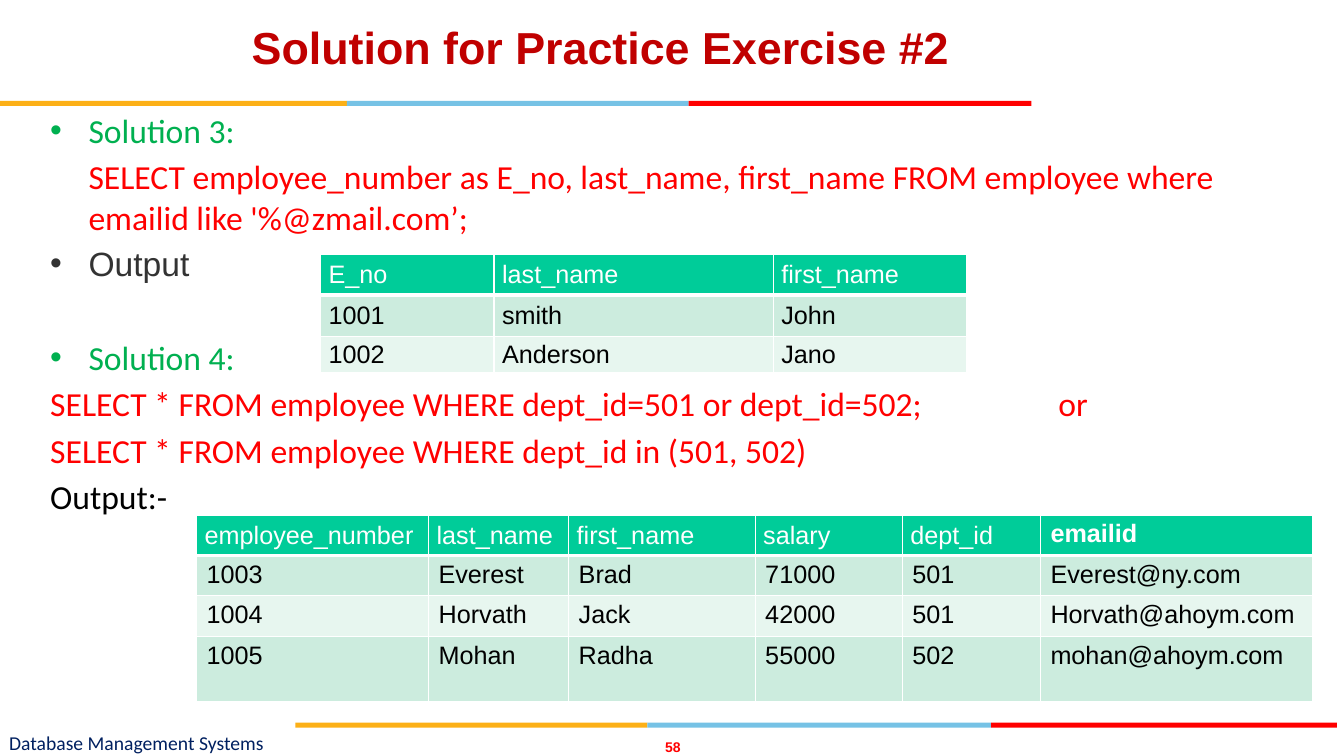
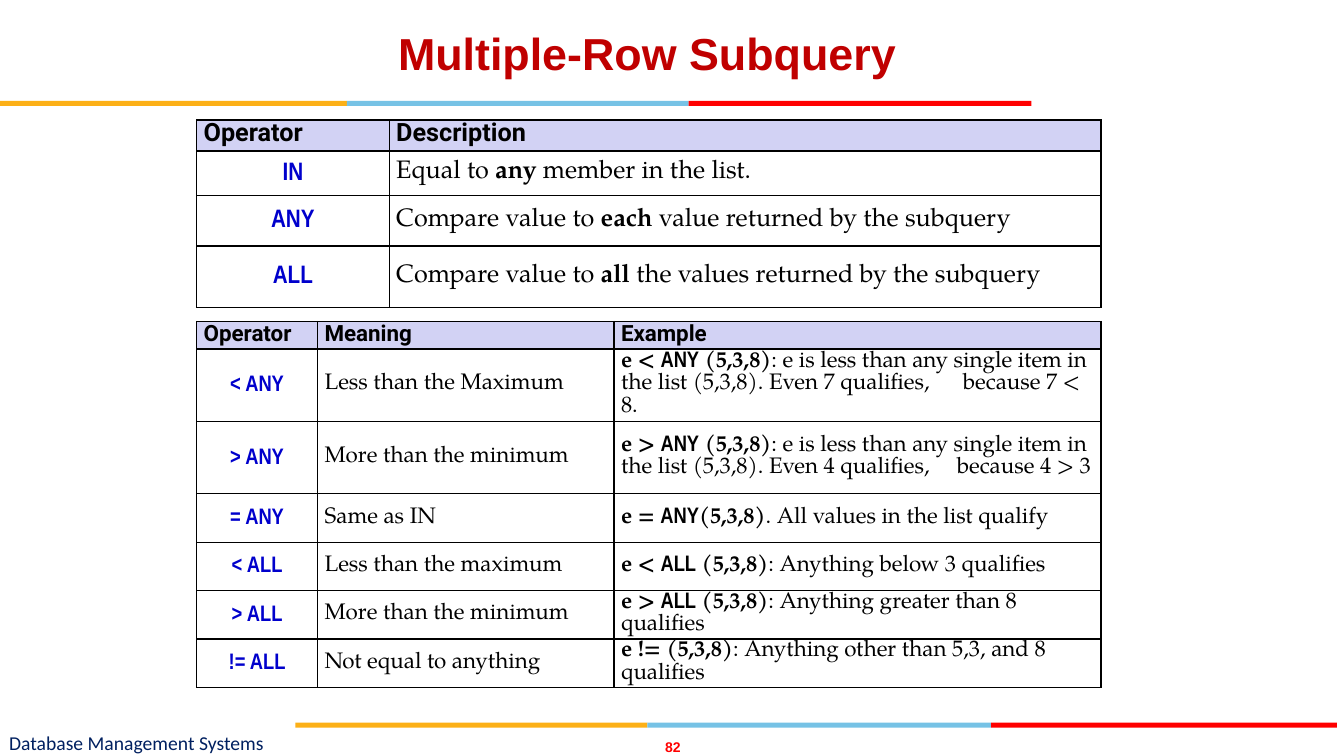
import pptx
import pptx.util
import pptx.dml.color
import pptx.enum.shapes
import pptx.enum.text
import pptx.oxml
from lxml import etree

Inches, Pt = pptx.util.Inches, pptx.util.Pt
RGB = pptx.dml.color.RGBColor.from_string
ALIGN = pptx.enum.text.PP_ALIGN
ANCHOR = pptx.enum.text.MSO_ANCHOR
NS = 'xmlns:a="http://schemas.openxmlformats.org/drawingml/2006/main"'

C = {
    "gold": "FCB017", "sky": "76C2E5", "red": "FF0000", "title": "C00000",
    "navy": "002060", "green": "00B050", "gray": "333333", "black": "000000",
    "white": "FFFFFF", "teal": "00CC99", "mint": "CCECDE", "pale": "E7F6EF",
    "lilac": "D2D2F4", "blue": "0000CC",
}

STYLES = {
    "title": ("Arial", 32, "title", True),
    "number": ("Arial", 10, "red", True),
    "footer": ("Calibri", 14, "navy", False),
    "heading": ("Calibri", 24, "green", False),
    "query": ("Calibri", 24, "red", False),
    "output": ("Arial", 24, "gray", False),
    "result": ("Calibri", 24, "black", False),
    "data head": ("Arial", 18, "white", False),
    "data head bold": ("Arial", 18, "white", True),
    "data": ("Arial", 18, "black", False),
    "head": ("Roboto", 18, "black", True),
    "operator": ("Arial Narrow", 18, "blue", True),
    "keyword": ("Arial Narrow", 18, "black", True),
    "bold": ("TeX Gyre Pagella", 18, "black", True),
    "plain": ("TeX Gyre Pagella", 18, "black", False),
}


def write(p, runs, size=None, tab=None, bullet=None, **fmt):
    for name, value in fmt.items():
        setattr(p, name, value)
    pPr = p._p.get_or_add_pPr()
    if bullet:
        for name, value in bullet.items():
            pPr.set(name, str(int(Inches(value))))
        if bullet["indent"]:
            pPr.append(pptx.oxml.parse_xml(f'<a:buFont {NS} typeface="Arial"/>'))
            pPr.append(pptx.oxml.parse_xml(f'<a:buChar {NS} char="•"/>'))
    if tab:
        pPr.append(pptx.oxml.parse_xml(
            f'<a:tabLst {NS}><a:tab pos="{int(Inches(tab))}" algn="l"/></a:tabLst>'))
    for text, style in runs:
        font, points, color, bold = STYLES[style]
        r = p.add_run()
        r.text = text
        for name, value in {"name": font, "size": Pt(size or points), "bold": bold}.items():
            setattr(r.font, name, value)
        r.font.color.rgb = RGB(C[color])


def add_grid(s, left, top, widths, heights, rows, fills, line, head_line, margins, paragraph):
    shape = s.shapes.add_table(len(rows), len(widths), Inches(left), Inches(top),
                               Inches(sum(widths)), Inches(sum(heights)))
    table = shape.table
    table.horz_banding = False
    for col, width in zip(table.columns, widths):
        col.width = Inches(width)
    for i, (row, height) in enumerate(zip(rows, heights)):
        table.rows[i].height = Inches(height)
        for j, runs in enumerate(row):
            cell = table.cell(i, j)
            x, y, anchor = margins(i, j)
            for name, value in {"margin_left": Inches(x), "margin_right": Inches(x),
                                "margin_top": Inches(y), "margin_bottom": Inches(y),
                                "vertical_anchor": anchor}.items():
                setattr(cell, name, value)
            write(cell.text_frame.paragraphs[0], runs, **paragraph(i, j))
            tcPr = cell._tc.get_or_add_tcPr()
            for side in "LRTB":
                heavy = (i, side) in ((0, "B"), (1, "T"))
                width = int(Pt(head_line if heavy else 1))
                tcPr.append(pptx.oxml.parse_xml(
                    f'<a:ln{side} {NS} w="{width}"><a:solidFill><a:srgbClr val="{C[line]}"/>'
                    f'</a:solidFill></a:ln{side}>'))
            fill = fills[0] if i == 0 else fills[1 + (i - 1) % 2]
            if fill:
                cell.fill.solid()
                cell.fill.fore_color.rgb = RGB(C[fill])
            else:
                cell.fill.background()


prs = pptx.Presentation()
prs.slide_width, prs.slide_height = Inches(13.33), Inches(7.5)

BANDS = [(0, 1, (3.44, 3.39, 3.4)), (2.93, 7.17, (3.49, 3.41, 3.43))]
TITLES = [("Solution for Practice Exercise #2", "58", (0.21, 0.15, 11.5, 0.73)),
          ("Multiple-Row Subquery", "82", (0.67, 0.21, 11.5, 0.73))]

slides = []
for title, number, title_box in TITLES:
    s = prs.slides.add_slide(prs.slide_layouts[6])
    slides.append(s)
    for left, top, widths in BANDS:
        for color, width in zip(("gold", "sky", "red"), widths):
            bar = s.shapes.add_shape(pptx.enum.shapes.MSO_SHAPE.RECTANGLE, Inches(left),
                                     Inches(top), Inches(width), Inches(0.05))
            bar.shadow.inherit = False
            bar.fill.solid()
            bar.fill.fore_color.rgb = RGB(C[color])
            bar.line.fill.background()
            left += width
    for text, style, box, align in (
        (number, "number", (6.51, 7.33, 0.33, 0.17), ALIGN.CENTER),
        ("Database Management Systems", "footer", (0.09, 7.23, 4.96, 0.27), ALIGN.LEFT),
        (title, "title", title_box, ALIGN.CENTER),
    ):
        tf = s.shapes.add_textbox(*map(Inches, box)).text_frame
        tf.word_wrap = True
        if style != "title":
            tf.vertical_anchor = ANCHOR.MIDDLE
            tf.margin_left = tf.margin_right = tf.margin_top = tf.margin_bottom = 0
        write(tf.paragraphs[0], [(text, style)], alignment=align)

solutions, subquery = slides

BULLET = {"marL": 0.38, "indent": -0.38}
INDENT = {"marL": 0.38, "indent": 0}
BODY = [
    ("Solution 3:", "heading", BULLET, 4.3),
    ("SELECT employee_number as E_no, last_name, first_name FROM employee where "
     "emailid like '%@zmail.com’;", "query", INDENT, 4.3),
    ("Output", "output", BULLET, 4.3),
    ("Solution 4:", "heading", BULLET, 38.5),
    ("SELECT * FROM employee WHERE dept_id=501 or dept_id=502;\tor", "query", None, 4.3),
    ("SELECT * FROM employee WHERE dept_id in (501, 502)", "query", None, 4.3),
    ("Output:-", "result", None, 4.3),
]
tf = solutions.shapes.add_textbox(Inches(0.4), Inches(1.04), Inches(12.26), Inches(5.66)).text_frame
tf.word_wrap = True
for i, (text, style, bullet, before) in enumerate(BODY):
    p = tf.add_paragraph() if i else tf.paragraphs[0]
    write(p, [(text, style)], bullet=bullet, tab=10 if "\t" in text else None,
          space_before=Pt(before))

EMPLOYEES = [
    ("employee_number", "last_name", "first_name", "salary", "dept_id", "emailid"),
    ("1003", "Everest", "Brad", "71000", "501", "Everest@ny.com"),
    ("1004", "Horvath", "Jack", "42000", "501", "Horvath@ahoym.com"),
    ("1005", "Mohan", "Radha", "55000", "502", "mohan@ahoym.com"),
]
NAMES = [("E_no", "last_name", "first_name"), ("1001", "smith", "John"),
         ("1002", "Anderson", "Jano")]
TIGHT = (0.08, 0.03, ANCHOR.MIDDLE)
LOOSE = (0.1, 0.05, ANCHOR.TOP)

for left, top, widths, heights, data, margins in (
    (1.95, 5.11, (2.3, 1.39, 1.85, 1.46, 1.37, 2.7), (0.38, 0.38, 0.38, 0.65), EMPLOYEES,
     lambda i, j: LOOSE if i or j == 5 else TIGHT),
    (3.18, 2.52, (1.72, 2.77, 1.92), (0.41, 0.41, 0.35), NAMES, lambda i, j: TIGHT),
):
    rows = [[[(text, "data" if i else "data head bold" if text == "emailid" else "data head")]
             for text in row] for i, row in enumerate(data)]
    add_grid(solutions, left, top, widths, heights, rows, ("teal", "mint", "pale"),
             "white", 3, margins, lambda i, j: {})

OPERATORS = [
    ("IN", [("Equal to ", "plain"), ("any", "bold"), (" member in the list.", "plain")]),
    ("ANY", [("Compare value to ", "plain"), ("each", "bold"),
             (" value returned by the subquery", "plain")]),
    ("ALL", [("Compare value to ", "plain"), ("all ", "bold"),
             ("the values returned by the subquery", "plain")]),
]
EXAMPLES = [
    ("< ANY", "Less than the Maximum", "e < ", "ANY", " (5,3,8)",
     ": e is less than any single item in the list (5,3,8). Even 7 qualifies,\tbecause 7 < 8."),
    ("> ANY", "More than the minimum", "e > ", "ANY", " (5,3,8)",
     ": e is less than any single item in the list (5,3,8). Even 4 qualifies,\tbecause 4 > 3"),
    ("= ANY", "Same as IN", "e = ", "ANY", "(5,3,8)", ". All values in the list qualify"),
    ("< ALL", "Less than the maximum", "e < ", "ALL", " (5,3,8)", ": Anything below 3 qualifies"),
    ("> ALL", "More than the minimum", "e > ", "ALL", " (5,3,8)",
     ": Anything greater than 8 qualifies"),
    ("!= ALL", "Not equal to anything", "e != ", "", "(5,3,8)",
     ": Anything other than 5,3, and 8 qualifies"),
]
EXAMPLE_TABS = {(1, 2): 3.39, (2, 2): 3.33}

operator_rows = [[[(text, "head")] for text in ("Operator", "Description")]]
for operator, description in OPERATORS:
    operator_rows.append([[(operator, "operator")], description])

example_rows = [[[(text, "head")] for text in ("Operator", "Meaning", "Example")]]
for operator, meaning, *example in EXAMPLES:
    runs = zip(example, ("bold", "keyword", "bold", "plain"))
    example_rows.append([[(operator, "operator")], [(meaning, "plain")],
                         [run for run in runs if run[0]]])

for top, widths, heights, rows, size, tabs in (
    (1.19, (1.91, 7.06), (0.31, 0.44, 0.5, 0.61), operator_rows, 18, {}),
    (3.19, (1.2, 2.94, 4.83), (0.27, 0.72, 0.72) + (0.48,) * 4, example_rows, 16, EXAMPLE_TABS),
):
    add_grid(subquery, 1.95, top, widths, heights, rows, ("lilac", None, None), "black", 1.5,
             lambda i, j: (0.07, 0, ANCHOR.MIDDLE),
             lambda i, j: {"size": size, "tab": tabs.get((i, j)), "line_spacing": Pt(size),
                           "space_before": Pt(1), "space_after": Pt(1),
                           "alignment": ALIGN.CENTER if i and j == 0 else ALIGN.LEFT})

prs.save("out.pptx")
